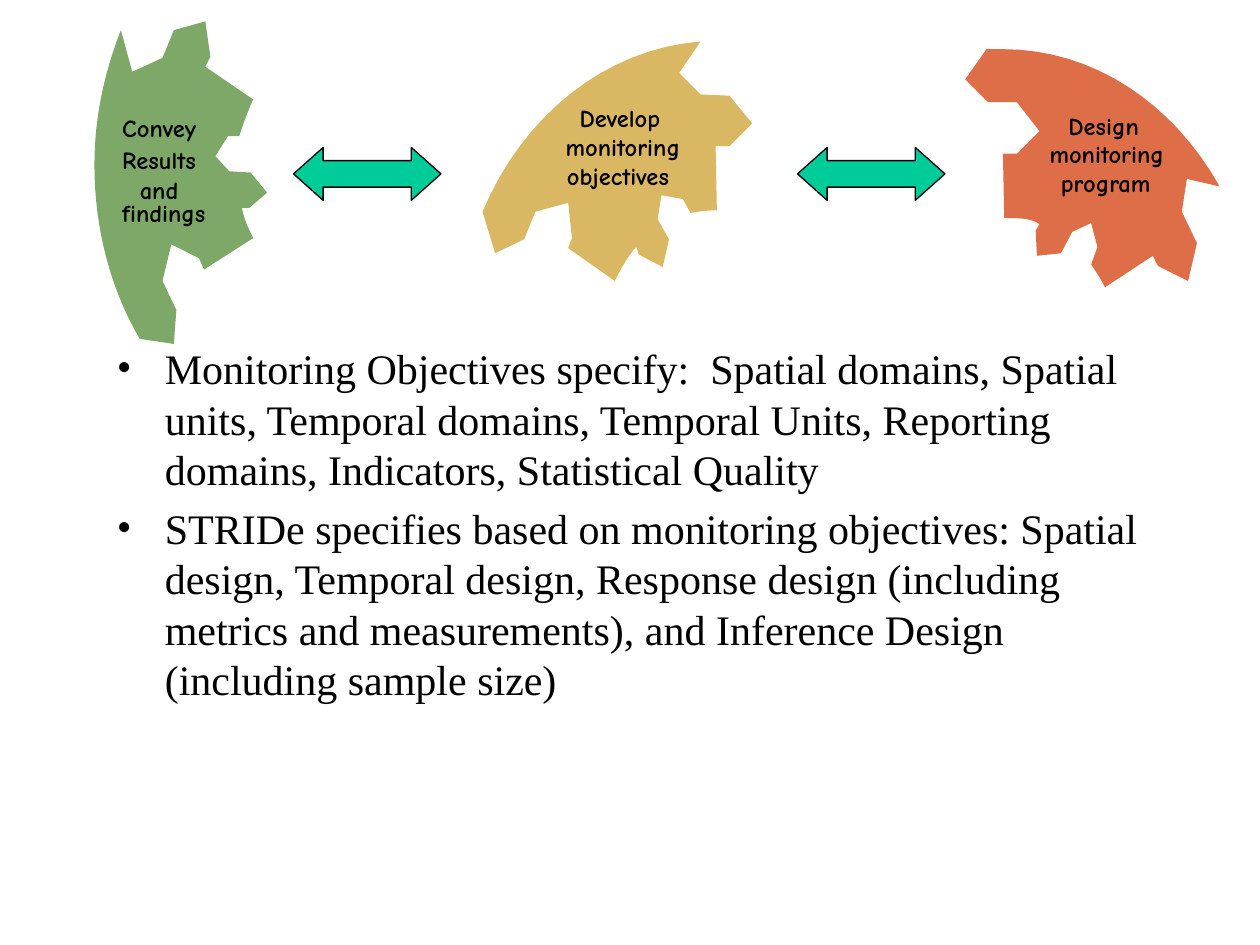
from lxml import etree
from pptx import Presentation
from pptx.dml.color import RGBColor
from pptx.enum import shapes, text
from pptx.oxml.ns import qn
from pptx.util import Inches, Pt

BLACK = RGBColor(0, 0, 0)
GREEN = RGBColor(0x7E, 0xA8, 0x68)
GOLD = RGBColor(0xDA, 0xB7, 0x63)
ORANGE = RGBColor(0xDE, 0x6E, 0x47)
TEAL = RGBColor(0x00, 0xCC, 0x99)
BODY_FONT = "Times New Roman"

# Outlines and labels are in inches from the piece's top left corner.
# A pair is a corner; six numbers are a curve: two control points and an end.
CONVEY = {
    "box": (0.75, 0.17), "color": GREEN,
    "outline": [
        (0.65, 2.29), (0.54, 2.06), (0.61, 1.77), (0.83, 1.88), (0.87, 1.97),
        (1.26, 1.72), (1.23, 1.66, 1.19, 1.58, 1.17, 1.48), (1.23, 1.48),
        (1.37, 1.36), (1.24, 1.2), (1.07, 1.19), (0.96, 1.07), (1.06, 0.91),
        (1.15, 0.91), (1.15, 0.91, 1.19, 0.77, 1.26, 0.62), (0.88, 0.36),
        (0.92, 0.28), (0.88, 0), (0.63, 0.07), (0.54, 0.29), (0.3, 0.4),
        (0.21, 0.07), (0.08, 0.4, 0, 0.76, 0, 1.14),
        (0, 1.65, 0.13, 2.13, 0.36, 2.52), (0.63, 2.56)],
    "labels": [("Convey", 0.22, 0.73), ("Results", 0.22, 0.98),
               ("and", 0.36, 1.22), ("findings", 0.22, 1.4)],
}
DEVELOP = {
    "box": (3.83, 0.33), "color": GOLD,
    "outline": [
        (0.33, 1.57), (0.42, 1.35), (0.68, 1.28), (0.71, 1.56), (0.68, 1.64),
        (1.05, 1.9), (1.1, 1.8, 1.15, 1.71, 1.22, 1.63), (1.24, 1.69),
        (1.43, 1.79), (1.48, 1.57), (1.39, 1.41), (1.42, 1.22), (1.59, 1.25),
        (1.65, 1.36), (1.65, 1.36, 1.75, 1.34, 1.86, 1.34), (1.85, 0.83),
        (1.96, 0.83), (2.14, 0.65), (1.96, 0.43), (1.73, 0.42), (1.56, 0.25),
        (1.73, 0), (0.97, 0.06, 0.32, 0.59, 0, 1.35), (0.1, 1.68)],
    "labels": [("Develop", 0.77, 0.49), ("monitoring", 0.66, 0.72),
               ("objectives", 0.67, 0.95)],
}
DESIGN = {
    "box": (7.66, 0.39), "color": ORANGE,
    "outline": [
        (0.18, 0.42), (0.41, 0.42), (0.59, 0.65), (0.41, 0.83), (0.3, 0.83),
        (0.31, 1.34), (0.41, 1.34, 0.53, 1.34, 0.59, 1.39), (0.56, 1.44),
        (0.57, 1.64), (0.76, 1.62), (0.85, 1.45), (1, 1.38), (1.05, 1.57),
        (1, 1.71), (1, 1.71, 1.06, 1.79, 1.11, 1.89), (1.49, 1.64),
        (1.53, 1.72), (1.77, 1.84), (1.84, 1.54), (1.72, 1.29), (1.76, 1.03),
        (2.02, 1.09), (1.65, 0.43, 1.02, 0, 0.3, 0),
        (0.25, 0, 0.21, 0, 0.17, 0), (0, 0.24)],
    "labels": [("Design", 0.82, 0.49), ("monitoring", 0.67, 0.71),
               ("program", 0.76, 0.94)],
}
BULLETS = [
    "Monitoring Objectives specify:  Spatial domains, Spatial units, Temporal "
    "domains, Temporal Units, Reporting domains, Indicators, Statistical Quality",
    "STRIDe specifies based on monitoring objectives: Spatial design, Temporal "
    "design, Response design (including metrics and measurements), and Inference "
    "Design (including sample size)",
]


def flatten(outline, steps=16):
    """Turn corners and cubic curves into one list of points."""
    points = []
    for seg in outline:
        if len(seg) == 2:
            points.append(seg)
            continue
        x0, y0 = points[-1]
        x1, y1, x2, y2, x3, y3 = seg
        for i in range(1, steps + 1):
            t = i / steps
            a, b, c, d = (1 - t)**3, 3 * t * (1 - t)**2, 3 * t**2 * (1 - t), t**3
            points.append((a * x0 + b * x1 + c * x2 + d * x3,
                           a * y0 + b * y1 + c * y2 + d * y3))
    return points


def add_run(p, words, font, size, bold=False):
    r = p.add_run()
    r.text = words
    r.font.name, r.font.size, r.font.bold = font, Pt(size), bold
    r.font.color.rgb = BLACK


def add_label(s, words, x, y):
    tf = s.shapes.add_textbox(Inches(x), Inches(y), Inches(0.96), Inches(0.23)).text_frame
    tf.margin_left = tf.margin_top = tf.margin_right = tf.margin_bottom = 0
    tf.word_wrap = False
    tf.auto_size = text.MSO_AUTO_SIZE.SHAPE_TO_FIT_TEXT
    add_run(tf.paragraphs[0], words, "Comic Neue", 14, bold=True)


def add_piece(s, box, color, outline, labels):
    left, top = box
    points = [(Inches(left + x), Inches(top + y)) for x, y in flatten(outline)]
    fb = s.shapes.build_freeform(*points[0])
    fb.add_line_segments(points[1:], close=True)
    sp = fb.convert_to_shape()
    sp.shadow.inherit = False
    sp.fill.solid()
    sp.fill.fore_color.rgb = color
    sp.line.fill.background()
    for words, x, y in labels:
        add_label(s, words, left + x, top + y)


def add_arrow(s, left, top):
    sp = s.shapes.add_shape(shapes.MSO_SHAPE.LEFT_RIGHT_ARROW, Inches(left),
                            Inches(top), Inches(1.17), Inches(0.42))
    sp.adjustments[0], sp.adjustments[1] = 0.5, 0.56
    sp.shadow.inherit = False
    sp.fill.solid()
    sp.fill.fore_color.rgb = TEAL
    sp.line.color.rgb = BLACK
    sp.line.width = Pt(0.75)


def add_bullets(s, left, top, width, height):
    tf = s.shapes.add_textbox(Inches(left), Inches(top), Inches(width),
                              Inches(height)).text_frame
    tf.word_wrap = True
    for i, words in enumerate(BULLETS):
        p = tf.add_paragraph() if i else tf.paragraphs[0]
        p.space_before = Pt(4.8)
        pPr = p._p.get_or_add_pPr()
        pPr.set("marL", str(Inches(0.38)))
        pPr.set("indent", str(Inches(-0.38)))
        etree.SubElement(pPr, qn("a:buFont")).set("typeface", BODY_FONT)
        etree.SubElement(pPr, qn("a:buChar")).set("char", "•")
        add_run(p, words, BODY_FONT, 24)


def main():
    prs = Presentation()
    prs.slide_width, prs.slide_height = Inches(10), Inches(7.5)
    s = prs.slides.add_slide(prs.slide_layouts[6])
    for piece in (DEVELOP, CONVEY, DESIGN):
        add_piece(s, **piece)
    for left in (2.33, 6.33):
        add_arrow(s, left, 1.17)
    add_bullets(s, 0.83, 2.67, 8.42, 4.08)
    prs.save("out.pptx")


if __name__ == "__main__":
    main()
